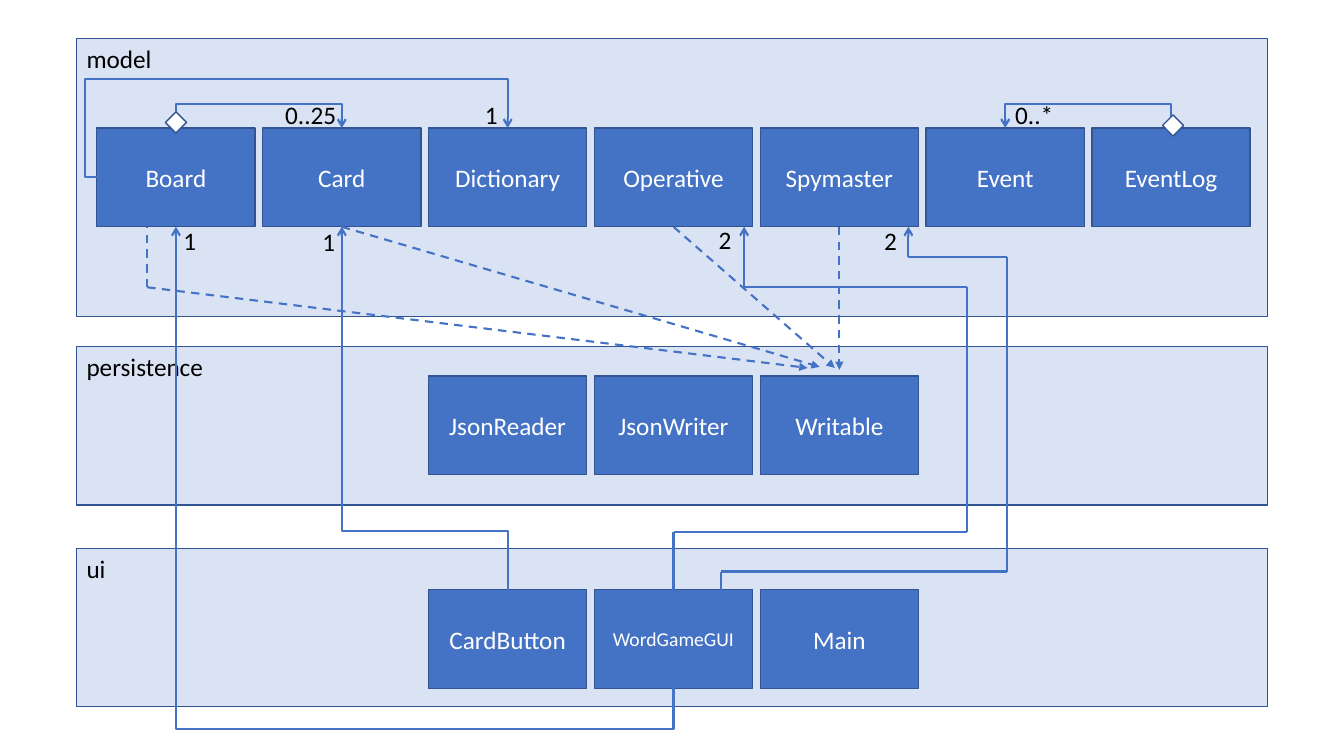
from dataclasses import dataclass

from lxml import etree
from pptx import Presentation
from pptx import util as u
from pptx.dml.color import RGBColor
from pptx.enum import dml, shapes, text
from pptx.oxml.ns import qn

BAND_FILL = RGBColor(0xDA, 0xE3, 0xF3)
BLUE = RGBColor(0x44, 0x72, 0xC4)
OUTLINE = RGBColor(0x32, 0x54, 0x91)
WHITE = RGBColor(0xFF, 0xFF, 0xFF)
BLACK = RGBColor(0, 0, 0)

FONT = "Calibri"
BAND_LEFT, BAND_WIDTH = 0.76, 11.81
FIRST_LEFT, LAST_LEFT = 0.96, 10.83
BOX_WIDTH, BOX_HEIGHT = 1.57, 0.98
PITCH = (LAST_LEFT - FIRST_LEFT) / 6
MODEL_TOP, PERSISTENCE_TOP, UI_TOP = 1.27, 3.73, 5.85
MODEL_BOTTOM = MODEL_TOP + BOX_HEIGHT
DIAMOND = 0.21


@dataclass
class Band:
    name: str
    top: float
    height: float
    box_top: float
    first_column: int
    classes: list[str]


@dataclass
class Label:
    words: str
    left: float
    top: float
    width: float


@dataclass
class Straight:
    x1: float
    y1: float
    x2: float
    y2: float
    head: str = ""
    dashed: bool = False


@dataclass
class Elbow:
    x1: float
    y1: float
    x2: float
    y2: float
    turn_y: float


def center(column: int) -> float:
    return FIRST_LEFT + column * PITCH + BOX_WIDTH / 2


BANDS = [
    Band("model", 0.38, 2.76, MODEL_TOP, 0,
         ["Board", "Card", "Dictionary", "Operative", "Spymaster", "Event", "EventLog"]),
    Band("persistence", 3.44, 1.57, PERSISTENCE_TOP, 2, ["JsonReader", "JsonWriter", "Writable"]),
    Band("ui", 5.44, 1.57, UI_TOP, 2, ["CardButton", "WordGameGUI", "Main"]),
]
SMALL_NAMES = {"WordGameGUI": 14}

ELBOWS = [
    Elbow(center(0), 1.28, center(1), MODEL_TOP, 1.03),
    Elbow(center(6), 1.28, center(5), MODEL_TOP, 1.03),
    Elbow(center(2), UI_TOP, center(1), MODEL_BOTTOM, 5.27),
    Elbow(center(3), UI_TOP + BOX_HEIGHT, center(0), MODEL_BOTTOM, 7.23),
]
STRAIGHTS = [
    Straight(center(4), MODEL_BOTTOM, center(4), 3.67, "triangle", True),
    Straight(center(3), MODEL_BOTTOM, 8.28, 3.65, "triangle", True),
    Straight(center(1), MODEL_BOTTOM, 8.13, 3.64, "triangle", True),
    Straight(1.46, 2.85, 8.01, 3.65, "triangle", True),
    Straight(1.46, 2.85, 1.46, MODEL_BOTTOM, "", True),
    Straight(7.38, 2.85, 7.38, MODEL_BOTTOM, "arrow"),
    Straight(7.38, 2.85, 9.59, 2.85),
    Straight(9.59, 5.28, 9.59, 2.85),
    Straight(center(3), 5.28, 9.59, 5.28),
    Straight(center(3), UI_TOP, center(3), 5.28),
    Straight(9.01, 2.55, 9.01, MODEL_BOTTOM, "arrow"),
    Straight(9.01, 2.55, 9.99, 2.55),
    Straight(9.99, 5.67, 9.99, 2.55),
    Straight(7.15, UI_TOP, 7.15, 5.67),
    Straight(7.15, 5.67, 9.99, 5.67),
]
DIAMONDS = [(1.64, 1.11), (11.53, 1.14)]
LABELS = [
    Label("0..25", 2.73, 0.94, 0.76),
    Label("1", 4.71, 0.94, 0.43),
    Label("0..*", 9.97, 0.94, 0.66),
    Label("1", 1.72, 2.19, 0.37),
    Label("1", 3.1, 2.2, 0.37),
    Label("2", 7.03, 2.18, 0.37),
    Label("2", 8.67, 2.19, 0.37),
]


def write(frame, words: str, size: float, color: RGBColor) -> None:
    frame.text = words
    frame.word_wrap = True
    font = frame.paragraphs[0].runs[0].font
    font.name, font.size, font.color.rgb = FONT, u.Pt(size), color


def add_block(parent, kind, left: float, top: float, width: float, height: float, fill: RGBColor):
    block = parent.add_shape(kind, u.Inches(left), u.Inches(top), u.Inches(width), u.Inches(height))
    block.shadow.inherit = False
    block.fill.solid()
    block.fill.fore_color.rgb = fill
    block.line.color.rgb = OUTLINE
    block.line.width = u.Pt(1)
    return block


def add_label(parent, label: Label) -> None:
    box = parent.add_textbox(u.Inches(label.left), u.Inches(label.top),
                             u.Inches(label.width), u.Inches(0.4))
    write(box.text_frame, label.words, 18, BLACK)
    box.text_frame.auto_size = text.MSO_AUTO_SIZE.SHAPE_TO_FIT_TEXT


def add_band(page, band: Band) -> None:
    group = page.shapes.add_group_shape()
    add_block(group.shapes, shapes.MSO_SHAPE.RECTANGLE,
              BAND_LEFT, band.top, BAND_WIDTH, band.height, BAND_FILL)
    add_label(group.shapes, Label(band.name, BAND_LEFT, band.top, 1.82))
    for column, name in enumerate(band.classes, band.first_column):
        box = add_block(page.shapes, shapes.MSO_SHAPE.RECTANGLE, FIRST_LEFT + column * PITCH,
                        band.box_top, BOX_WIDTH, BOX_HEIGHT, BLUE)
        write(box.text_frame, name, SMALL_NAMES.get(name, 18), WHITE)
        box.text_frame.vertical_anchor = text.MSO_ANCHOR.MIDDLE
        box.text_frame.paragraphs[0].alignment = text.PP_ALIGN.CENTER


def add_line(page, kind, x1: float, y1: float, x2: float, y2: float,
             head: str = "", dashed: bool = False):
    line = page.shapes.add_connector(kind, *(u.Inches(value) for value in (x1, y1, x2, y2)))
    line.line.color.rgb = BLUE
    line.line.width = u.Pt(1.5)
    if dashed:
        line.line.dash_style = dml.MSO_LINE.DASH
    properties = line._element.spPr
    if head:
        etree.SubElement(properties.find(qn("a:ln")), qn("a:tailEnd"), type=head)
    etree.SubElement(properties, qn("a:effectLst"))
    return line


def set_bends(line, *ratios: float) -> None:
    geometry = line._element.spPr.find(qn("a:prstGeom"))
    geometry.set("prst", f"bentConnector{len(ratios) + 2}")
    guides = geometry.find(qn("a:avLst"))
    for number, ratio in enumerate(ratios, 1):
        etree.SubElement(guides, qn("a:gd"), name=f"adj{number}",
                         fmla=f"val {round(ratio * 100000)}")


def add_upward_elbow(page, elbow: Elbow) -> None:
    rise, run = elbow.y1 - elbow.y2, elbow.x2 - elbow.x1
    mid_x, mid_y = (elbow.x1 + elbow.x2) / 2, (elbow.y1 + elbow.y2) / 2
    line = add_line(page, shapes.MSO_CONNECTOR.ELBOW, mid_x - rise / 2, mid_y - run / 2,
                    mid_x + rise / 2, mid_y + run / 2, "arrow")
    line._element.spPr.find(qn("a:xfrm")).set("rot", str(270 * 60000))
    set_bends(line, (elbow.y1 - elbow.turn_y) / rise)


def add_board_to_dictionary(page) -> None:
    start_y = MODEL_TOP + BOX_HEIGHT / 2
    line = add_line(page, shapes.MSO_CONNECTOR.ELBOW,
                    FIRST_LEFT, start_y, center(2), MODEL_TOP, "arrow")
    set_bends(line, (0.84 - FIRST_LEFT) / (center(2) - FIRST_LEFT),
              (start_y - 0.78) / (start_y - MODEL_TOP))


def main() -> None:
    deck = Presentation()
    deck.slide_width, deck.slide_height = u.Inches(13.33), u.Inches(7.5)
    page = deck.slides.add_slide(deck.slide_layouts[6])
    for band in BANDS:
        add_band(page, band)
    for elbow in ELBOWS:
        add_upward_elbow(page, elbow)
    add_board_to_dictionary(page)
    for part in STRAIGHTS:
        add_line(page, shapes.MSO_CONNECTOR.STRAIGHT, part.x1, part.y1, part.x2, part.y2,
                 part.head, part.dashed)
    for left, top in DIAMONDS:
        add_block(page.shapes, shapes.MSO_SHAPE.DIAMOND, left, top, DIAMOND, DIAMOND, WHITE)
    for label in LABELS:
        add_label(page.shapes, label)
    deck.save("out.pptx")


if __name__ == "__main__":
    main()
